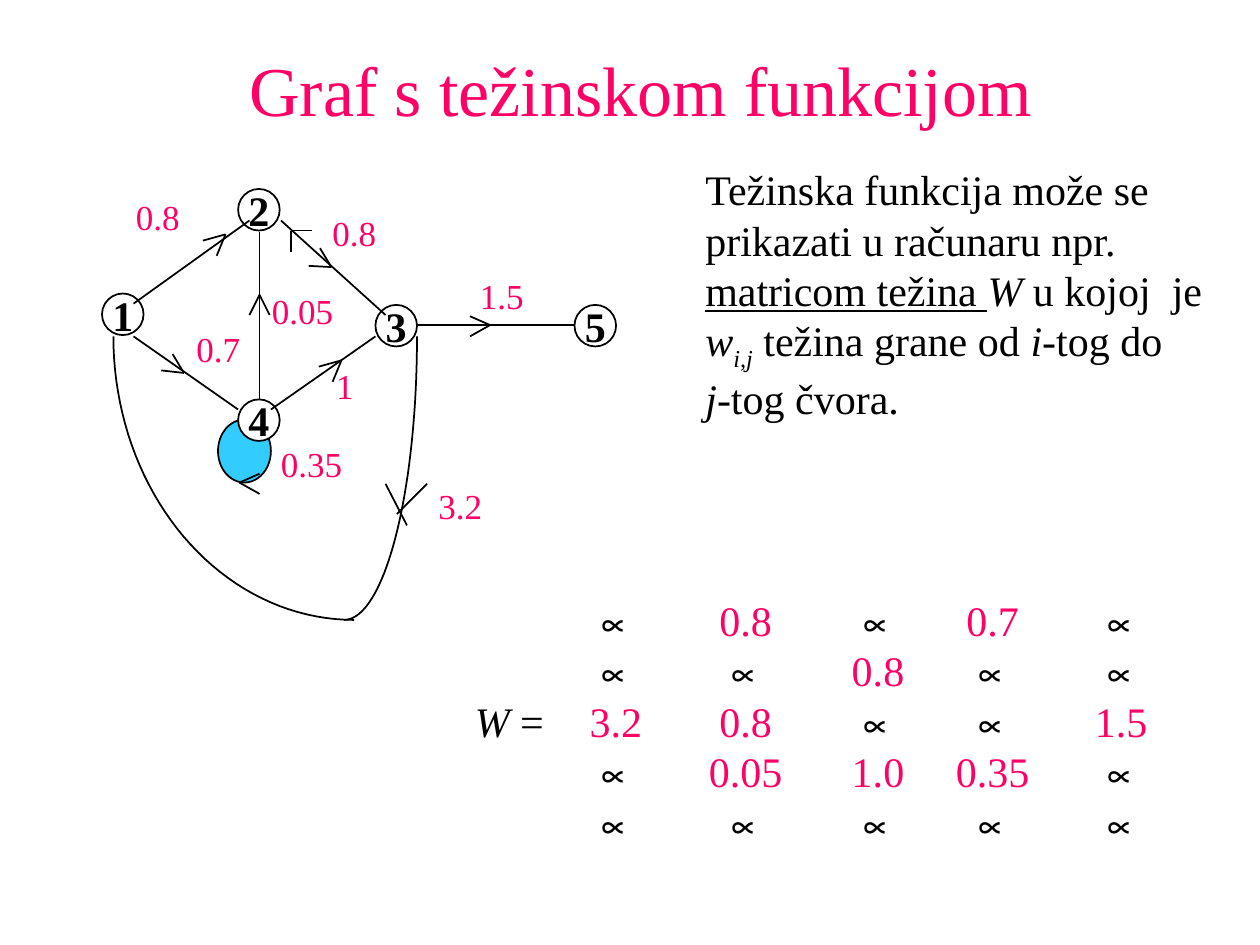
import math

from lxml import etree
from pptx import Presentation
from pptx.dml.color import RGBColor
from pptx.enum import shapes, text
from pptx.oxml.ns import qn
from pptx.util import Inches, Pt

# Content
BLACK, PINK, WHITE, BLUE = "000000", "FF0066", "FFFFFF", "33CCFF"
SERIF, SANS = "Times New Roman", "Arial"
TITLE = "Graf s težinskom funkcijom"

# Each run: wording and its style (u underlined, i italic, s subscript)
EXPLANATION = [
    [("Težinska funkcija može se prikazati u računaru npr. ", ""),
     ("matricom težina ", "u"), ("W", "i"), (" u kojoj  je ", ""),
     ("w", "i"), ("i", "is"), (",", "s"), ("j", "is"),
     (" težina grane od ", ""), ("i", "i"), ("-tog do", "")],
    [("j", "i"), ("-tog čvora.", "")],
]

NODE = 0.33
NODES = {"1": (0.81, 2.33), "3": (2.98, 2.42), "5": (4.56, 2.42),
         "2": (1.89, 1.5), "4": (1.89, 3.17)}
LOOP = (1.73, 3.33, 0.42, 0.5)

EDGES = [
    ((1.06, 2.41), (1.98, 1.75)),
    ((1.06, 2.67), (1.89, 3.25)),
    ((2.15, 3.25), (2.98, 2.67)),
    ((2.23, 1.75), (3.06, 2.5)),
    ((3.31, 2.58), (4.56, 2.58)),
    ((2.06, 1.84), (2.06, 3.17)),
]
# Wing end, tip, wing end
ARROWHEADS = [
    ((1.98, 2.5), (2.06, 2.34), (2.14, 2.5)),
    ((1.61, 1.91), (1.79, 1.86), (1.72, 2.03)),
    ((3.73, 2.51), (3.89, 2.58), (3.73, 2.67)),
    ((2.53, 2.91), (2.71, 2.86), (2.64, 3.03)),
    ((1.37, 2.81), (1.46, 2.96), (1.28, 2.94)),
    ((2.54, 1.97), (2.63, 2.12), (2.45, 2.11)),
    ((2.06, 3.92), (1.9, 3.83), (2.06, 3.76)),
    ((2.31, 2), (2.31, 1.83), (2.48, 1.83)),
]
# The head of edge 3-1 is two crossing strokes
CROSS = [((3.06, 3.84), (3.23, 4.17)), ((3.15, 4.08), (3.39, 3.84))]
# Quarter ellipses of edge 3-1: centre x, signed horizontal radius
ARCS = [(2.81, -1.91), (2.73, 0.58)]
ARC_TOP, ARC_DEPTH = 2.67, 2.25

WEIGHTS = [("0.8", 0.98, 1.5), ("0.8", 2.54, 1.63), ("0.7", 1.46, 2.55),
           ("1", 2.57, 2.84), ("1.5", 3.71, 2.13), ("3.2", 3.38, 3.8),
           ("0.35", 2.13, 3.46), ("0.05", 2.06, 2.25)]

MATRIX = [
    ["∝", "0.8", "∝", "0.7", "∝"],
    ["∝", "∝", "0.8", "∝", "∝"],
    ["3.2", "0.8", "∝", "∝", "1.5"],
    ["∝", "0.05", "1.0", "0.35", "∝"],
    ["∝", "∝", "∝", "∝", "∝"],
]
COLUMN_CENTRES = [1.12, 2.15, 3.2, 4.11, 5.13]

prs = Presentation()
prs.slide_width, prs.slide_height = Inches(10), Inches(7.5)
s = prs.slides.add_slide(prs.slide_layouts[5])


def rgb(value):
    return RGBColor.from_string(value)


def set_font(font, size, color=BLACK, name=SERIF, bold=None):
    font.size, font.name, font.bold = Pt(size), name, bold
    font.color.rgb = rgb(color)


def add_run(p, wording):
    r = p.add_run()
    r.text = wording
    return r


def outline(sp):
    sp.line.color.rgb = rgb(BLACK)
    sp.line.width = Pt(1)


def add_line(start, end):
    line = s.shapes.add_connector(
        shapes.MSO_CONNECTOR.STRAIGHT, *map(Inches, start + end))
    outline(line)
    etree.SubElement(line._element.spPr, qn("a:effectLst"))


def add_ellipse(left, top, width, height, color):
    sp = s.shapes.add_shape(
        shapes.MSO_SHAPE.OVAL, *map(Inches, (left, top, width, height)))
    sp.shadow.inherit = False
    sp.fill.solid()
    sp.fill.fore_color.rgb = rgb(color)
    outline(sp)
    return sp


def add_text(left, top, width, height, wrap=True):
    tf = s.shapes.add_textbox(
        *map(Inches, (left, top, width, height))).text_frame
    tf.word_wrap = wrap
    return tf


def paragraphs(tf, rows):
    for n, row in enumerate(rows):
        yield (tf.add_paragraph() if n else tf.paragraphs[0]), row


# Title
title = s.shapes.title
title.left, title.top, title.width, title.height = map(
    Inches, (0.42, 0.32, 9.33, 0.77))
title.text_frame.text = TITLE
set_font(title.text_frame.paragraphs[0].font, 40, PINK)

# Explanation
for p, runs in paragraphs(add_text(5.5, 1.25, 4.23, 2.16), EXPLANATION):
    set_font(p.font, 24)
    for wording, style in runs:
        font = add_run(p, wording).font
        font.italic = "i" in style
        font.underline = "u" in style
        if "s" in style:
            font._element.set("baseline", "-25000")

# Loop and nodes
add_ellipse(*LOOP, BLUE)
for number, (left, top) in NODES.items():
    tf = add_ellipse(left, top, NODE, NODE, WHITE).text_frame
    tf.margin_left = tf.margin_right = tf.margin_top = tf.margin_bottom = 0
    tf.word_wrap = False
    tf.vertical_anchor = text.MSO_ANCHOR.MIDDLE
    p = tf.paragraphs[0]
    p.alignment = text.PP_ALIGN.CENTER
    set_font(p.font, 24, bold=True)
    set_font(add_run(p, number).font, 24, bold=True)

# Edges and arrowheads
for start, end in EDGES + CROSS:
    add_line(start, end)
for wing, tip, other_wing in ARROWHEADS:
    add_line(wing, tip)
    add_line(tip, other_wing)

# Curved edge from 3 to 1
STEPS = 40
for centre, radius in ARCS:
    angles = [math.pi / 2 * n / STEPS for n in range(STEPS + 1)]
    points = [(Inches(centre + radius * math.cos(a)),
               Inches(ARC_TOP + ARC_DEPTH * math.sin(a))) for a in angles]
    builder = s.shapes.build_freeform(*points[0])
    builder.add_line_segments(points[1:], close=False)
    curve = builder.convert_to_shape()
    curve.shadow.inherit = False
    curve.fill.background()
    outline(curve)

# Edge weights
for weight, left, top in WEIGHTS:
    width = 0.2 + 0.14 * len(weight) - (0.07 if "." in weight else 0)
    p = add_text(left, top, width, 0.43, wrap=False).paragraphs[0]
    set_font(p.font, 20, PINK)
    add_run(p, weight)

# Weight matrix: columns centred on tab stops
for p, row in paragraphs(add_text(3.67, 4.67, 6.06, 2.1), MATRIX):
    tabs = etree.SubElement(p._p.get_or_add_pPr(), qn("a:tabLst"))
    for centre in COLUMN_CENTRES:
        etree.SubElement(tabs, qn("a:tab"), pos=str(Inches(centre)), algn="ctr")
    set_font(p.font, 24)
    if row is MATRIX[2]:
        add_run(p, "W").font.italic = True
        add_run(p, " =")
    for value in row:
        infinite = value == "∝"
        set_font(add_run(p, "\t" + value).font, 24,
                 BLACK if infinite else PINK, SANS if infinite else SERIF)

prs.save("out.pptx")
